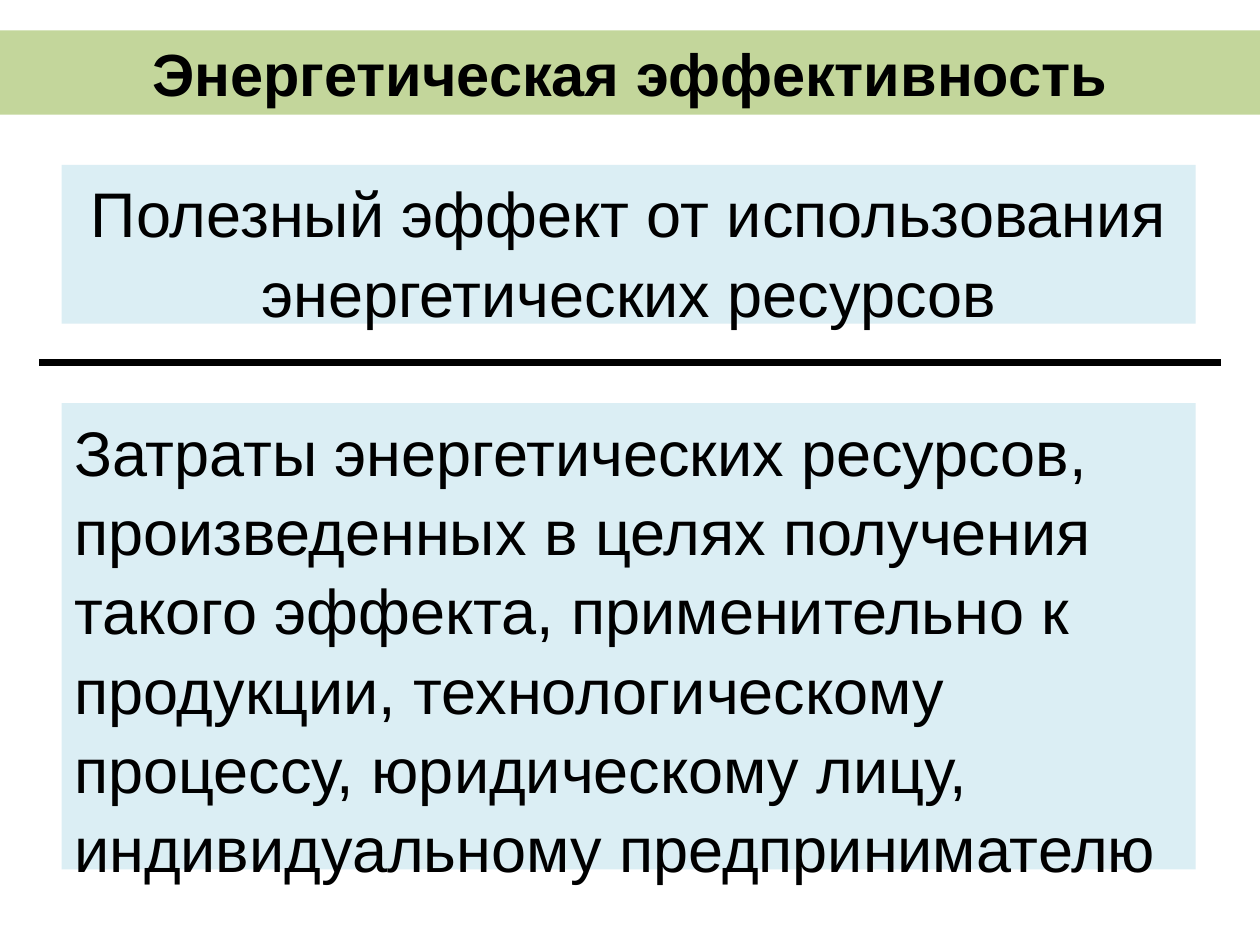
"""Build a slide that shows energy efficiency as a fraction."""
from dataclasses import dataclass

from lxml import etree
from pptx import Presentation
from pptx.dml.color import RGBColor
from pptx.enum.shapes import MSO_CONNECTOR, MSO_SHAPE
from pptx.enum.text import MSO_ANCHOR, PP_ALIGN
from pptx.oxml.ns import qn
from pptx.util import Inches, Pt

CENTER, LEFT = PP_ALIGN.CENTER, PP_ALIGN.LEFT
TOP, MIDDLE = MSO_ANCHOR.TOP, MSO_ANCHOR.MIDDLE
RECTANGLE, STRAIGHT = MSO_SHAPE.RECTANGLE, MSO_CONNECTOR.STRAIGHT
BLACK = RGBColor(0x00, 0x00, 0x00)
GREEN = RGBColor(0xC3, 0xD6, 0x9B)
PALE_BLUE = RGBColor(0xDB, 0xEE, 0xF4)
FONT = "Arial"
WIDTH, HEIGHT = Inches(10), Inches(7.5)
TITLE_ONLY = 5
PANEL_LEFT, PANEL_WIDTH = Inches(0.49), Inches(9)
BAR_MARGIN, BAR_TOP = Inches(0.31), Inches(2.88)


@dataclass(frozen=True)
class Panel:
    """One term of the fraction."""
    text: str
    top: float
    height: float
    align: PP_ALIGN


PANELS = (
    Panel("Полезный эффект от использования энергетических ресурсов",
          1.31, 1.26, CENTER),
    Panel("Затраты энергетических ресурсов, произведенных в целях получения "
          "такого эффекта, применительно к продукции, технологическому "
          "процессу, юридическому лицу, индивидуальному предпринимателю",
          3.2, 3.7, LEFT),
)


def write_text(shape, text: str, *, size: float, align: PP_ALIGN = LEFT,
               anchor: MSO_ANCHOR = TOP, bold: bool = False,
               line_spacing: float = 1.0) -> None:
    """Fill a shape with one formatted paragraph."""
    frame = shape.text_frame
    frame.text = text
    frame.word_wrap = True
    frame.vertical_anchor = anchor
    frame.margin_left = frame.margin_right = Inches(0.1)
    frame.margin_top = frame.margin_bottom = Inches(0.05)
    paragraph = frame.paragraphs[0]
    paragraph.alignment = align
    paragraph.line_spacing = line_spacing
    font = paragraph.runs[0].font
    font.name, font.size, font.bold = FONT, Pt(size), bold
    font.color.rgb = BLACK


def fill_shape(shape, color: RGBColor) -> None:
    """Give a shape a plain fill without an outline."""
    shape.fill.solid()
    shape.fill.fore_color.rgb = color
    shape.line.fill.background()


def add_title(slide) -> None:
    """Turn the title placeholder into a full-width band."""
    title = slide.shapes.title
    title.left, title.top = 0, Inches(0.24)
    title.width, title.height = WIDTH, Inches(0.67)
    fill_shape(title, GREEN)
    write_text(title, "Энергетическая эффективность", size=34, align=CENTER,
               anchor=MIDDLE, bold=True)


def add_panel(slide, panel: Panel) -> None:
    """Draw one term of the fraction."""
    shape = slide.shapes.add_shape(RECTANGLE, PANEL_LEFT, Inches(panel.top),
                                   PANEL_WIDTH, Inches(panel.height))
    shape.shadow.inherit = False
    fill_shape(shape, PALE_BLUE)
    write_text(shape, panel.text, size=36, align=panel.align,
               line_spacing=1.05)


def add_fraction_bar(slide) -> None:
    """Draw the line between the two terms."""
    bar = slide.shapes.add_connector(STRAIGHT, BAR_MARGIN, BAR_TOP,
                                     WIDTH - BAR_MARGIN, BAR_TOP)
    bar.line.color.rgb = BLACK
    bar.line.width = Pt(4)
    etree.SubElement(bar._element.spPr, qn("a:effectLst"))


def main() -> None:
    """Create and save the presentation."""
    presentation = Presentation()
    presentation.slide_width, presentation.slide_height = WIDTH, HEIGHT
    slide = presentation.slides.add_slide(
        presentation.slide_layouts[TITLE_ONLY])
    add_title(slide)
    for panel in PANELS:
        add_panel(slide, panel)
    add_fraction_bar(slide)
    presentation.save("out.pptx")


if __name__ == "__main__":
    main()
